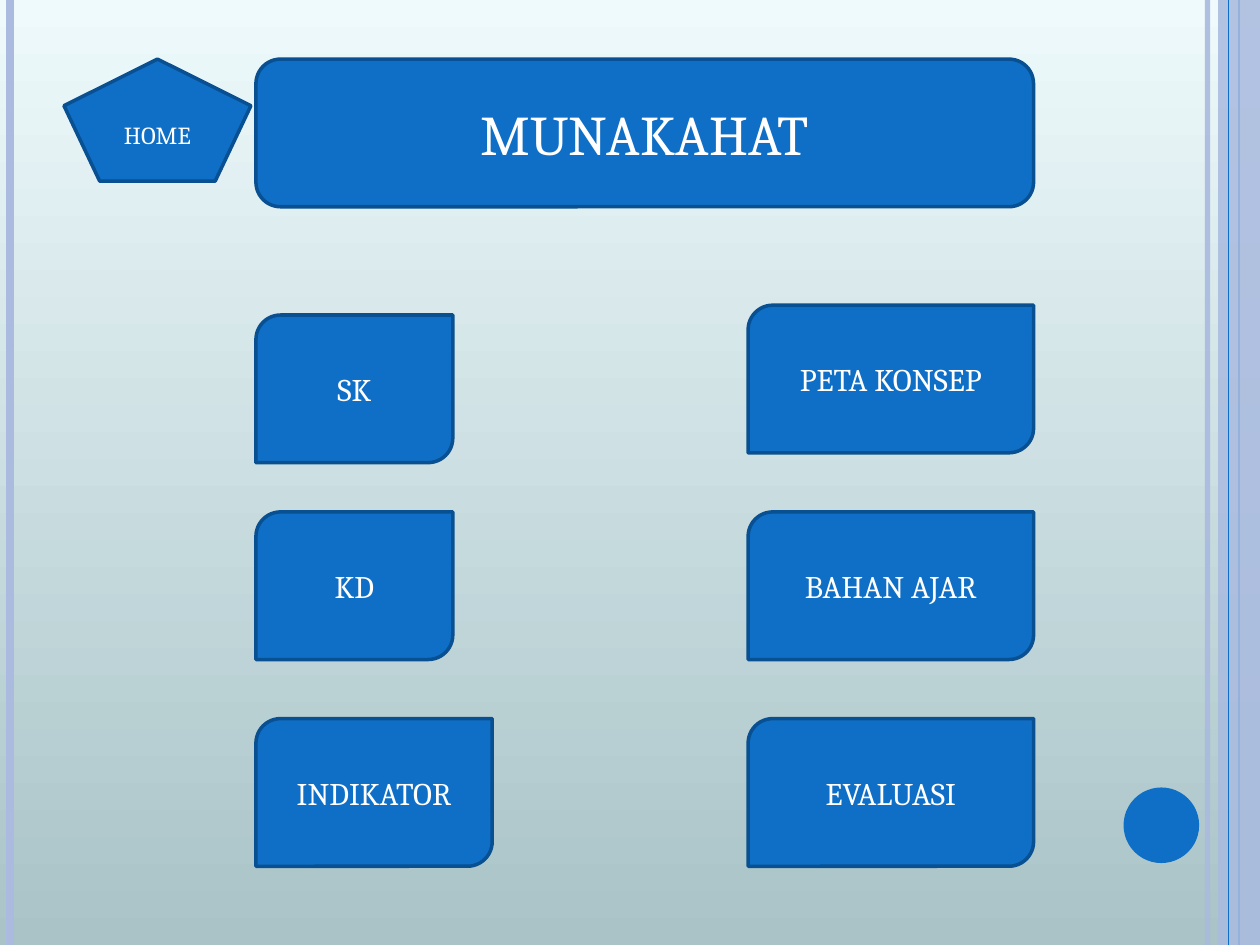
from dataclasses import dataclass

from lxml import etree
from pptx import Presentation
from pptx.dml.color import RGBColor
from pptx.enum.shapes import MSO_CONNECTOR, MSO_SHAPE
from pptx.enum.text import MSO_ANCHOR, MSO_AUTO_SIZE, PP_ALIGN
from pptx.oxml.ns import qn
from pptx.util import Inches, Pt

LINE = MSO_CONNECTOR.STRAIGHT
RECT = MSO_SHAPE.RECTANGLE
ROUND = MSO_SHAPE.ROUNDED_RECTANGLE
LEAF = MSO_SHAPE.ROUND_2_DIAG_RECTANGLE
HOUSE = MSO_SHAPE.REGULAR_PENTAGON
DISC = MSO_SHAPE.OVAL
MID, CENTER = MSO_ANCHOR.MIDDLE, PP_ALIGN.CENTER
FIXED = MSO_AUTO_SIZE.NONE
TITLE_ONLY = 5

COLS, ROWS = 64, 48
CELL = Inches(10) / COLS  # square cells: 64 by 48 fill the slide


@dataclass(frozen=True)
class Theme:
    blue: str = "0F6FC6"
    edge: str = "085091"
    pale: str = "AABBDF"
    white: str = "FFFFFF"
    low: str = "A9C3C7"
    high: str = "EEFAFC"
    font: str = "Cambria"
    head: int = 32
    body: int = 18
    small: int = 14
    rim: int = 2


T = Theme()


def rgb(code):
    return RGBColor.from_string(code)


def grid(*cells):
    return [round(c * CELL) for c in cells]


def fade(part, share):
    """Set the opacity of the first colour in a part, in percent."""
    tone = next(part.element.spPr.iter(qn("a:srgbClr")))
    etree.SubElement(tone, qn("a:alpha"), val=str(share * 1000))


def write(shape, text, size):
    frame = shape.text_frame
    frame.text = text
    look = {"word_wrap": True, "auto_size": FIXED, "vertical_anchor": MID}
    for key, val in look.items():
        setattr(frame, key, val)
    para = frame.paragraphs[0]
    para.alignment = CENTER
    font = para.runs[0].font
    for key, val in {"name": T.font, "size": Pt(size)}.items():
        setattr(font, key, val)
    font.color.rgb = rgb(T.white)


def block(slide, kind, box, fill, edge=None):
    shape = slide.shapes.add_shape(kind, *grid(*box))
    shape.shadow.inherit = False
    shape.fill.solid()
    shape.fill.fore_color.rgb = rgb(fill)
    if edge:
        shape.line.color.rgb = rgb(edge)
        shape.line.width = Pt(T.rim)
    else:
        shape.line.fill.background()
    return shape


def button(slide, kind, box, text, size):
    write(block(slide, kind, box, T.blue, T.edge), text, size)


def rail(slide, col, box, tone, width):
    left, top, _, high = box
    x, y, end = grid(left + col, top, top + high)
    line = slide.shapes.add_connector(LINE, x, y, x, end)
    line.line.color.rgb = rgb(tone)
    line.line.width = Pt(width)
    etree.SubElement(line.element.spPr, qn("a:effectLst"))
    return line


def border(slide, box):
    left, top, wide, high = box
    # Backdrop
    fill = slide.background.fill
    fill.gradient()
    fill.gradient_angle = 90
    for stop, tone in zip(fill.gradient_stops, (T.low, T.high)):
        stop.color.rgb = rgb(tone)
    # Rails and side band
    fade(rail(slide, wide - 2.67, box, T.pale, 3), 93)
    rail(slide, 0.53, box, T.pale, 4.5)
    rail(slide, wide - 1.07, box, T.blue, 1.5)
    band = (left + wide - 2.13, top, 2.13, high)
    fade(block(slide, RECT, band, T.pale), 87)
    rail(slide, wide - 1.6, box, T.blue, 0.75)
    # Page disc
    block(slide, DISC, (left + wide - 6.93, top + high - 8, 3.84, 3.84), T.blue)


def header(slide, box):
    left, top, wide, high = box
    # Title on its panel
    spot = (left + 9.75, top, wide - 9.75, high)
    panel = block(slide, ROUND, spot, T.blue, T.edge)
    title = slide.shapes.title
    for key, val in zip(("left", "top", "width", "height"), grid(*spot)):
        setattr(title, key, val)
    write(title, "MUNAKAHAT", T.head)
    panel.element.addnext(title.element)
    # Home button
    button(slide, HOUSE, (left, top, 9.5, 6.2), "HOME", T.small)


def menu(slide, box):
    left, top, wide, high = box
    tall, right = 7.5, 14.5
    step = (high - tall) / 2
    # Each row: left label, its width and drop, right label
    rows = (
        ("SK", 10, 0.5, "PETA KONSEP"),
        ("KD", 10, 0, "BAHAN AJAR"),
        ("INDIKATOR", 12, 0, "EVALUASI"),
    )
    for i, (near, size, drop, far) in enumerate(rows):
        y = top + i * step
        button(slide, LEAF, (left, y + drop, size, tall), near, T.body)
        spot = (left + wide - right, y, right, tall)
        button(slide, LEAF, spot, far, T.body)


def main():
    deck = Presentation()
    deck.slide_width, deck.slide_height = grid(COLS, ROWS)
    slide = deck.slides.add_slide(deck.slide_layouts[TITLE_ONLY])
    border(slide, (0, 0, COLS, ROWS))
    header(slide, (3.25, 3, 49.25, 7.5))
    menu(slide, (13, 15.5, 39.5, 28.5))
    deck.save("out.pptx")


if __name__ == "__main__":
    main()
